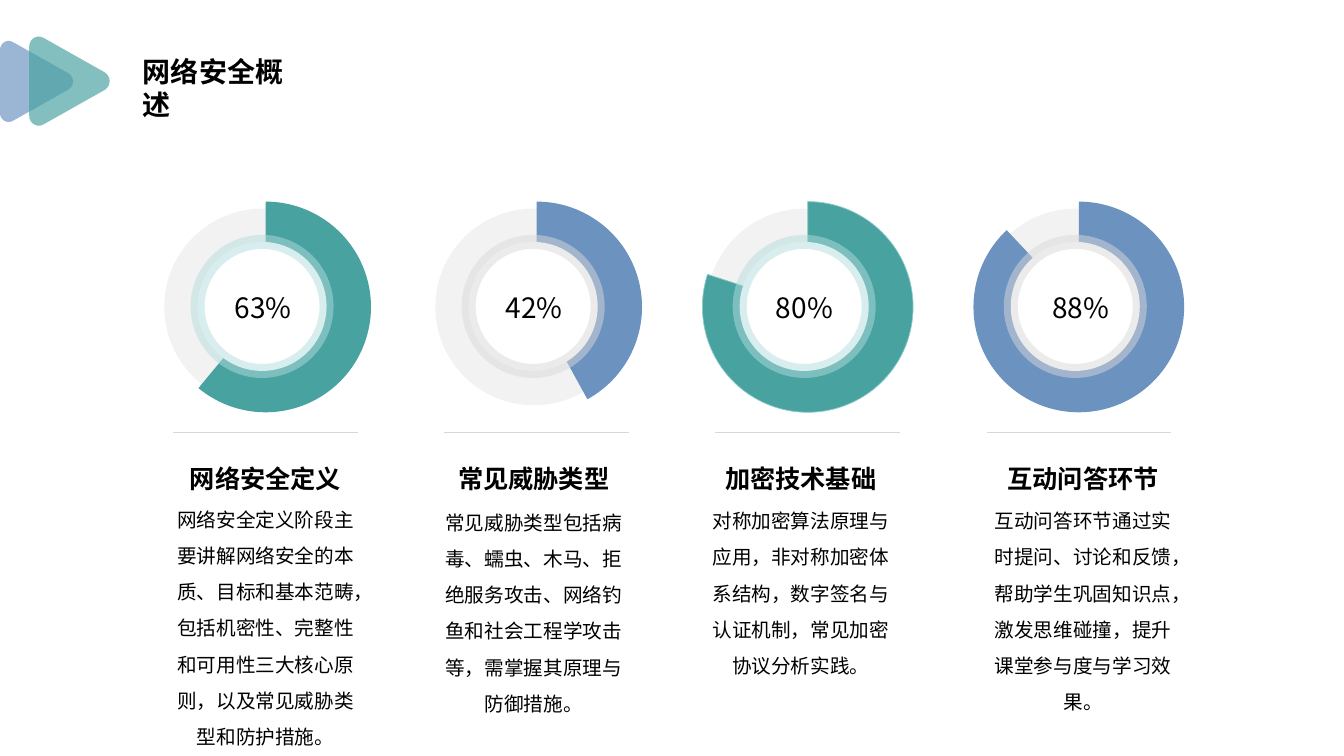
from collections import namedtuple
from dataclasses import dataclass

from lxml import etree
from pptx import Presentation
from pptx import util as u
from pptx.dml.color import RGBColor
from pptx.enum import shapes, text
from pptx.oxml.ns import qn

CELL = u.Emu(76200)  # the slide is a grid of 160 columns by 90 rows
COLUMNS, ROWS = 160, 90
PITCH = 32.27  # columns from one ring to the next
FULL_TURN, TOP = 216, 162  # pie adjustment units


@dataclass(frozen=True)
class Theme:
    font: str = "Noto Sans CJK SC"
    ink: str = "000000"
    teal: str = "48A2A0"
    teal_pale: str = "B3DDDC"
    teal_edge: str = "8CCCCB"
    blue: str = "6C92C0"
    grey_pale: str = "D9D9D9"
    track: str = "F2F2F2"
    rule: str = "D8D8D8"
    white: str = "FFFFFF"
    title_size: int = 20
    heading_size: int = 18
    body_size: int = 14


def cells(*lengths):
    return [u.Emu(round(length * CELL)) for length in lengths]


def set_alpha(color_format, percent):
    color = color_format._xFill.find(qn("a:srgbClr"))
    etree.SubElement(color, qn("a:alpha"), val=str(percent * 1000))


def write(frame, words, *, theme, size, bold=False, align=None, spacing=None):
    para = frame.paragraphs[0]
    para.alignment = align
    para.line_spacing = spacing
    span = para.add_run()
    span.text = words
    span.font.size = u.Pt(size)
    span.font.bold = bold
    span.font.color.rgb = RGBColor.from_string(theme.ink)
    span.font.name = theme.font
    etree.SubElement(span._r.rPr, qn("a:ea"), typeface=theme.font)


def bezier(start, first, second, end, steps=10):
    """Points along a cubic curve, both ends included."""
    for step in range(steps + 1):
        t = step / steps
        weights = ((1 - t) ** 3, 3 * t * (1 - t) ** 2, 3 * t * t * (1 - t), t ** 3)
        yield tuple(sum(w * p[axis] for w, p in zip(weights, (start, first, second, end)))
                    for axis in (0, 1))


class Painter:
    def __init__(self, page, theme):
        self.page, self.theme = page, theme

    def paint(self, shape, fill, alpha=None, line=None, width=0, line_alpha=None):
        shape.shadow.inherit = False
        shape.fill.solid()
        shape.fill.fore_color.rgb = RGBColor.from_string(fill)
        if alpha:
            set_alpha(shape.fill.fore_color, alpha)
        if line is None:
            shape.line.fill.background()
            return shape
        shape.line.color.rgb = RGBColor.from_string(line)
        shape.line.width = u.Pt(width)
        if line_alpha:
            set_alpha(shape.line.fill.fore_color, line_alpha)
        return shape

    def disc(self, left, top, size, fill, **style):
        box = self.page.shapes.add_shape(shapes.MSO_SHAPE.OVAL, *cells(left, top, size, size))
        return self.paint(box, fill, **style)

    def pie(self, left, top, size, share, fill, **style):
        """A sector that runs clockwise from twelve o'clock."""
        box = self.page.shapes.add_shape(shapes.MSO_SHAPE.PIE, *cells(left, top, size, size))
        box.adjustments[0] = TOP
        box.adjustments[1] = (TOP + share * FULL_TURN) % FULL_TURN
        return self.paint(box, fill, **style)

    def rule(self, left, right, row):
        line = self.page.shapes.add_connector(
            shapes.MSO_CONNECTOR.STRAIGHT, *cells(right, row, left, row))
        line.line.color.rgb = RGBColor.from_string(self.theme.rule)
        line.line.width = u.Pt(1)
        etree.SubElement(line._element.spPr, qn("a:effectLst"))

    def triangle(self, left, middle, scale, fill):
        """A translucent triangle with round corners that points right."""
        upper = [(1.56, -4.68), (0.84, -5.1), (0, -4.56), (0, -3.72)]
        lower = [(x, -y) for x, y in reversed(upper)]
        nose = [(8.16, 0.96), (8.88, 0.48), (8.88, -0.48), (8.16, -0.96)]
        outline = [cells(left + scale * x, middle + scale * y)
                   for corner in (upper, lower, nose) for x, y in bezier(*corner)]
        builder = self.page.shapes.build_freeform(*outline[0])
        builder.add_line_segments(outline[1:], close=True)
        return self.paint(builder.convert_to_shape(), fill, alpha=68)

    def text(self, left, top, width, height, words, **style):
        box = self.page.shapes.add_textbox(*cells(left, top, width, height))
        box.text_frame.word_wrap = True
        box.text_frame.auto_size = text.MSO_AUTO_SIZE.SHAPE_TO_FIT_TEXT
        write(box.text_frame, words, theme=self.theme, **style)
        return box

    def group(self, *members):
        self.page.shapes.add_group_shape(members)


Topic = namedtuple("Topic", "label share value_left text_left body_top heading body fill rim edge")


def build_topics(theme):
    teal, blue = (theme.teal, theme.teal_pale), (theme.blue, theme.grey_pale)
    return [
        Topic("63%", 0.61, 26.76, 20.64, 58.32, "网络安全定义",
              "网络安全定义阶段主要讲解网络安全的本质、目标和基本范畴，包括机密性、完整性"
              "和可用性三大核心原则，以及常见威胁类型和防护措施。", *teal, None),
        Topic("42%", 0.42, 59.04, 52.56, 58.68, "常见威胁类型",
              "常见威胁类型包括病毒、蠕虫、木马、拒绝服务攻击、网络钓鱼和社会工程学攻击等，"
              "需掌握其原理与防御措施。", *blue, None),
        Topic("80%", 0.80, 91.2, 84.36, 58.5, "加密技术基础",
              "对称加密算法原理与应用，非对称加密体系结构，数字签名与认证机制，"
              "常见加密协议分析实践。", *teal, theme.teal_edge),
        Topic("88%", 0.88, 124.08, 117.96, 58.5, "互动问答环节",
              "互动问答环节通过实时提问、讨论和反馈，帮助学生巩固知识点，激发思维碰撞，"
              "提升课堂参与度与学习效果。", *blue, None),
    ]


def main():
    theme = Theme()
    deck = Presentation()
    deck.slide_width, deck.slide_height = cells(COLUMNS, ROWS)
    painter = Painter(deck.slides.add_slide(deck.slide_layouts[6]), theme)

    painter.text(15.84, 5.88, 20.4, 5.28, "网络安全概述", size=theme.title_size, bold=True)
    painter.group(painter.triangle(0, 9.7, 1, theme.blue),
                  painter.triangle(3.48, 9.66, 1.1, theme.teal))

    centered = dict(align=text.PP_ALIGN.CENTER)
    for index, topic in enumerate(build_topics(theme)):
        shift = index * PITCH
        painter.disc(19.56 + shift, 24.84, 23.4, theme.track)
        painter.pie(19.08 + shift, 24, 25.08, topic.share, topic.fill,
                    line=topic.edge, width=0.5)
        painter.disc(23.52 + shift, 28.8, 15.36, theme.white,
                     line=topic.rim, width=10, line_alpha=50)
        painter.rule(20.64 + shift, 42.6 + shift, 51.48)
        painter.text(topic.value_left, 33.96, 9.84, 5.28, topic.label, size=theme.title_size)
        painter.group(
            painter.text(topic.text_left, 53.88, 21.96, 5.52, topic.heading,
                         size=theme.heading_size, bold=True, spacing=1.2, **centered),
            painter.text(topic.text_left - 1.56, topic.body_top, 25.08, 5.52, topic.body,
                         size=theme.body_size, spacing=1.54, **centered))
    deck.save("out.pptx")


if __name__ == "__main__":
    main()
